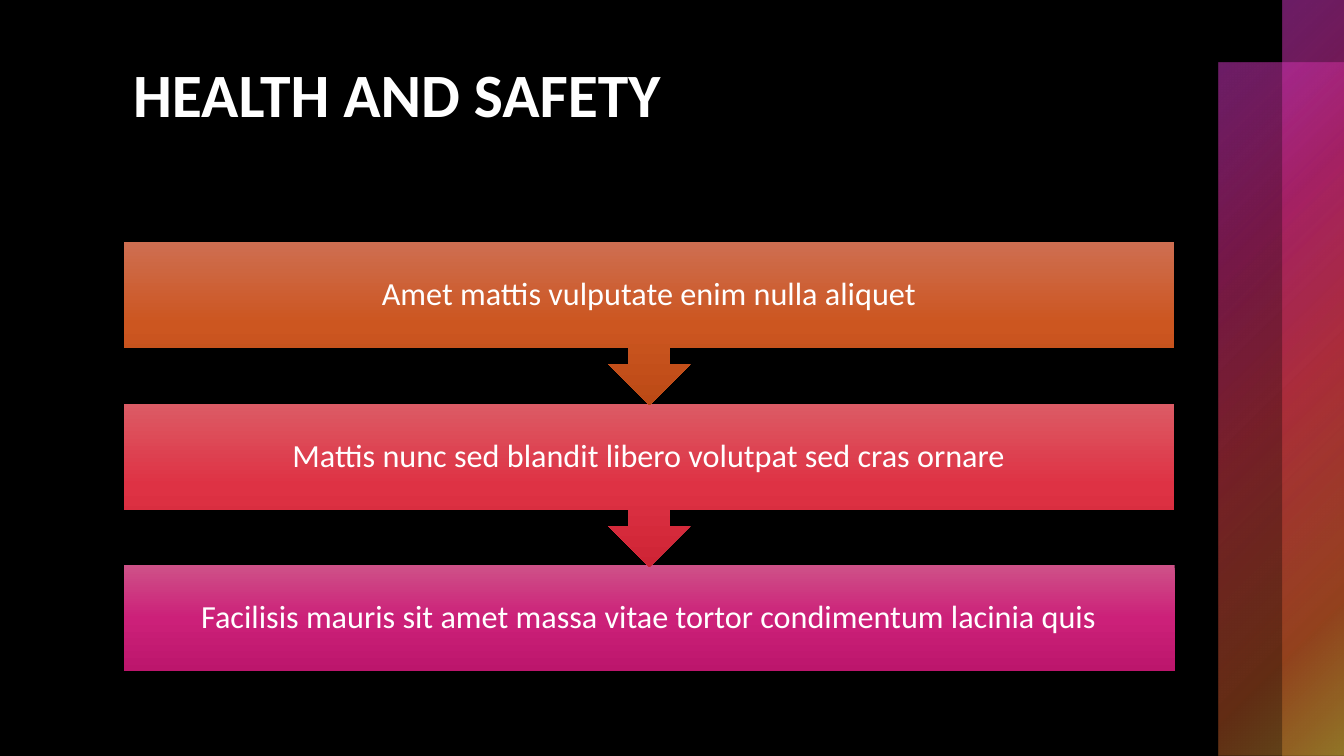
from lxml.etree import SubElement
from pptx import Presentation
from pptx.dml.color import RGBColor
from pptx.enum.shapes import MSO_SHAPE
from pptx.enum.text import MSO_ANCHOR, MSO_AUTO_SIZE, PP_ALIGN
from pptx.oxml.ns import qn
from pptx.util import Inches, Pt


def color(hex_code):
    return RGBColor.from_string(hex_code)


class Deck:
    font = "Calibri"
    text_color = "FFFFFF"
    background = "000000"

    def __init__(self, prs):
        self.slide = prs.slides.add_slide(prs.slide_layouts[5])
        fill = self.slide.background.fill
        fill.solid()
        fill.fore_color.rgb = color(self.background)

    def style(self, p, size, align, bold=False):
        p.alignment = align
        p.font.name = self.font
        p.font.size = Pt(size)
        p.font.bold = bold
        p.font.color.rgb = color(self.text_color)

    def title(self, text, box):
        sp = self.slide.shapes.title
        sp.left, sp.top, sp.width, sp.height = map(Inches, box)
        tf = sp.text_frame
        tf.text = text
        tf.word_wrap = True
        tf.auto_size = MSO_AUTO_SIZE.NONE
        tf.vertical_anchor = MSO_ANCHOR.TOP
        self.style(tf.paragraphs[0], 44, PP_ALIGN.LEFT, bold=True)

    def gradient(self, sp, stops, radial=False):
        """Fill with (position %, colour, opacity %) stops."""
        grad = SubElement(sp._element.spPr, qn("a:gradFill"), rotWithShape="1")
        stop_list = SubElement(grad, qn("a:gsLst"))
        for pos, hex_code, opacity in stops:
            gs = SubElement(stop_list, qn("a:gs"), pos=str(pos * 1000))
            clr = SubElement(gs, qn("a:srgbClr"), val=str(color(hex_code)))
            if opacity < 100:
                SubElement(clr, qn("a:alpha"), val=str(opacity * 1000))
        if radial:
            focus = SubElement(grad, qn("a:path"), path="circle")
            SubElement(focus, qn("a:fillToRect"), r="100000", b="100000")
        else:
            SubElement(grad, qn("a:lin"), ang="5400000", scaled="0")

    def shape(self, kind, box, stops, radial=False):
        sp = self.slide.shapes.add_shape(kind, *map(Inches, box))
        self.gradient(sp, stops, radial)
        sp.line.fill.background()
        sp.shadow.inherit = False
        return sp

    def step(self, kind, text, box, colors):
        stops = [(pos, c, 100) for pos, c in zip((0, 50, 100), colors)]
        sp = self.shape(kind, box, stops)
        tf = sp.text_frame
        tf.word_wrap = True
        tf.vertical_anchor = MSO_ANCHOR.MIDDLE
        tf.margin_left = tf.margin_right = Inches(0.18)
        tf.margin_top = tf.margin_bottom = Inches(0.18)
        tf.text = text
        p = tf.paragraphs[0]
        p.line_spacing = 0.9
        self.style(p, 23, PP_ALIGN.CENTER)


STRIPE_STOPS = [(0, "D63ACC", 50), (25, "C42879", 60), (50, "D63A4A", 55),
                (81, "C45928", 50), (99, "C39D35", 50)]
STEPS = [
    ("Amet mattis vulputate enim nulla aliquet",
     ("CE6E51", "CC5620", "BC4A16")),
    ("Mattis nunc sed blandit libero volutpat sed cras ornare",
     ("DC5B65", "DE3244", "CE2435")),
    ("Facilisis mauris sit amet massa vitae tortor condimentum lacinia quis",
     ("CE5188", "CC2079", "BC166C")),
]
STEP_LEFT, STEP_TOP, STEP_WIDTH, STEP_PITCH = 1.23, 2.4, 10.42, 1.605
BOX_HEIGHT, CALLOUT_HEIGHT = 1.05, 1.62


def main():
    prs = Presentation()
    prs.slide_width, prs.slide_height = Inches(13.33), Inches(7.5)
    deck = Deck(prs)

    # Overlapping stripes on the right edge
    for box in ((12.09, 0.62, 1.24, 6.88), (12.72, 0, 0.62, 7.5)):
        deck.shape(MSO_SHAPE.RECTANGLE, box, STRIPE_STOPS, radial=True)

    # Heading
    deck.title("HEALTH AND SAFETY", (1.22, 0.5, 10.37, 1.7))

    # Process steps, last first so that each arrow lies over the next box
    last = len(STEPS) - 1
    for i, (text, colors) in reversed(list(enumerate(STEPS))):
        kind, height = MSO_SHAPE.DOWN_ARROW_CALLOUT, CALLOUT_HEIGHT
        if i == last:
            kind, height = MSO_SHAPE.RECTANGLE, BOX_HEIGHT
        top = STEP_TOP + i * STEP_PITCH
        deck.step(kind, text, (STEP_LEFT, top, STEP_WIDTH, height), colors)

    prs.save("out.pptx")


if __name__ == "__main__":
    main()
